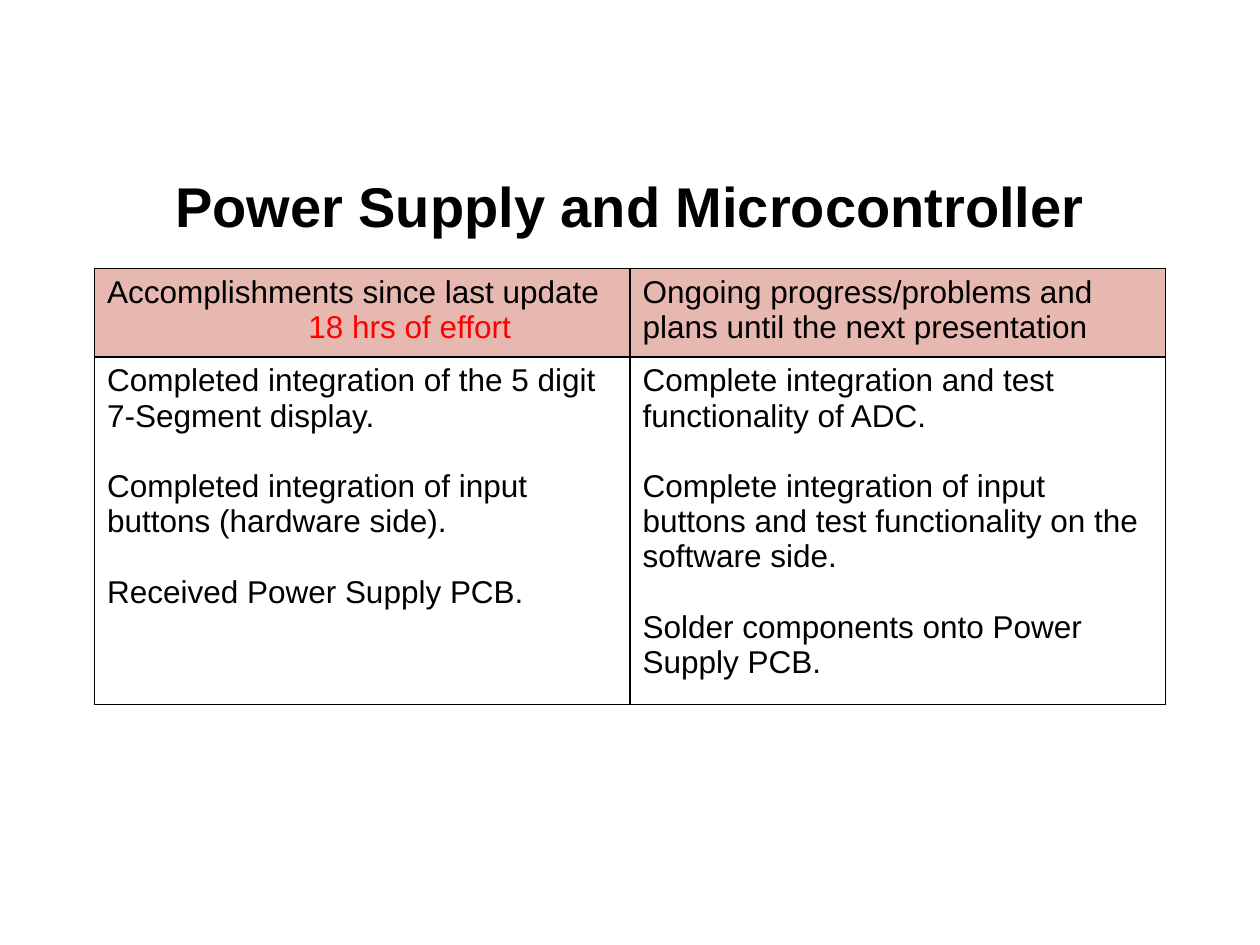
"""Build the power supply and microcontroller progress slide."""
from pptx import Presentation
from pptx.dml.color import RGBColor
from pptx.enum import text
from pptx.oxml import parse_xml
from pptx.oxml.ns import nsdecls
from pptx.util import Pt

TITLE = "Power Supply and Microcontroller"
EFFORT = "18 hrs of effort"
ROWS = [
    [
        ["Accomplishments since last update", EFFORT],
        ["Ongoing progress/problems and plans until the next presentation"],
    ],
    [
        [
            "Completed integration of the 5 digit 7-Segment display.",
            "Completed integration of input buttons (hardware side).",
            "Received Power Supply PCB.",
        ],
        [
            "Complete integration and test functionality of ADC.",
            "Complete integration of input buttons and test functionality on the software side.",
            "Solder components onto Power Supply PCB.",
        ],
    ],
]
FILLS = ["E6B8AF", "FFFFFF"]
ROW_HEIGHTS = [48, 188.5]
COLUMN_WIDTH = 306
PARAGRAPH_GAP = 20.1
EFFORT_INDENT = 115


def color(value):
    return RGBColor.from_string(value)


def style(paragraph, size, value="000000", bold=False):
    font = paragraph.font
    font.name, font.size, font.bold = "Arial", Pt(size), bold
    font.color.rgb = color(value)


def add_borders(cell):
    properties = cell._tc.get_or_add_tcPr()
    for index, side in enumerate(("lnL", "lnR", "lnT", "lnB")):
        border = parse_xml(
            f'<a:{side} {nsdecls("a")} w="{Pt(1)}"><a:solidFill>'
            f'<a:srgbClr val="000000"/></a:solidFill></a:{side}>'
        )
        properties.insert(index, border)


def fill_cell(cell, lines, fill, gap):
    cell.fill.solid()
    cell.fill.fore_color.rgb = color(fill)
    add_borders(cell)
    cell.text = "\n".join(lines)
    for index, paragraph in enumerate(cell.text_frame.paragraphs):
        is_effort = paragraph.text == EFFORT
        style(paragraph, 18, "FF0000" if is_effort else "000000")
        paragraph.space_before = Pt(gap if index else 0)
        if is_effort:
            paragraph._p.get_or_add_pPr().set("marL", str(Pt(EFFORT_INDENT)))


def add_title(slide):
    frame = slide.shapes.add_textbox(Pt(36), Pt(82.8), Pt(648), Pt(63.4)).text_frame
    frame.word_wrap = True
    frame.vertical_anchor = text.MSO_ANCHOR.MIDDLE
    paragraph = frame.paragraphs[0]
    paragraph.text = TITLE
    paragraph.alignment = text.PP_ALIGN.CENTER
    paragraph.line_spacing = 1.15
    style(paragraph, 32, bold=True)


def add_progress_table(slide):
    columns = len(ROWS[0])
    table = slide.shapes.add_table(
        len(ROWS), columns, Pt(54), Pt(153.5),
        Pt(columns * COLUMN_WIDTH), Pt(sum(ROW_HEIGHTS)),
    ).table
    table.first_row = table.horz_banding = False
    for row, height in enumerate(ROW_HEIGHTS):
        table.rows[row].height = Pt(height)
        for column, lines in enumerate(ROWS[row]):
            gap = PARAGRAPH_GAP if row else 0
            fill_cell(table.cell(row, column), lines, FILLS[row], gap)


def main():
    presentation = Presentation()
    presentation.slide_width, presentation.slide_height = Pt(720), Pt(540)
    slide = presentation.slides.add_slide(presentation.slide_layouts[6])
    add_title(slide)
    add_progress_table(slide)
    presentation.save("out.pptx")


if __name__ == "__main__":
    main()
